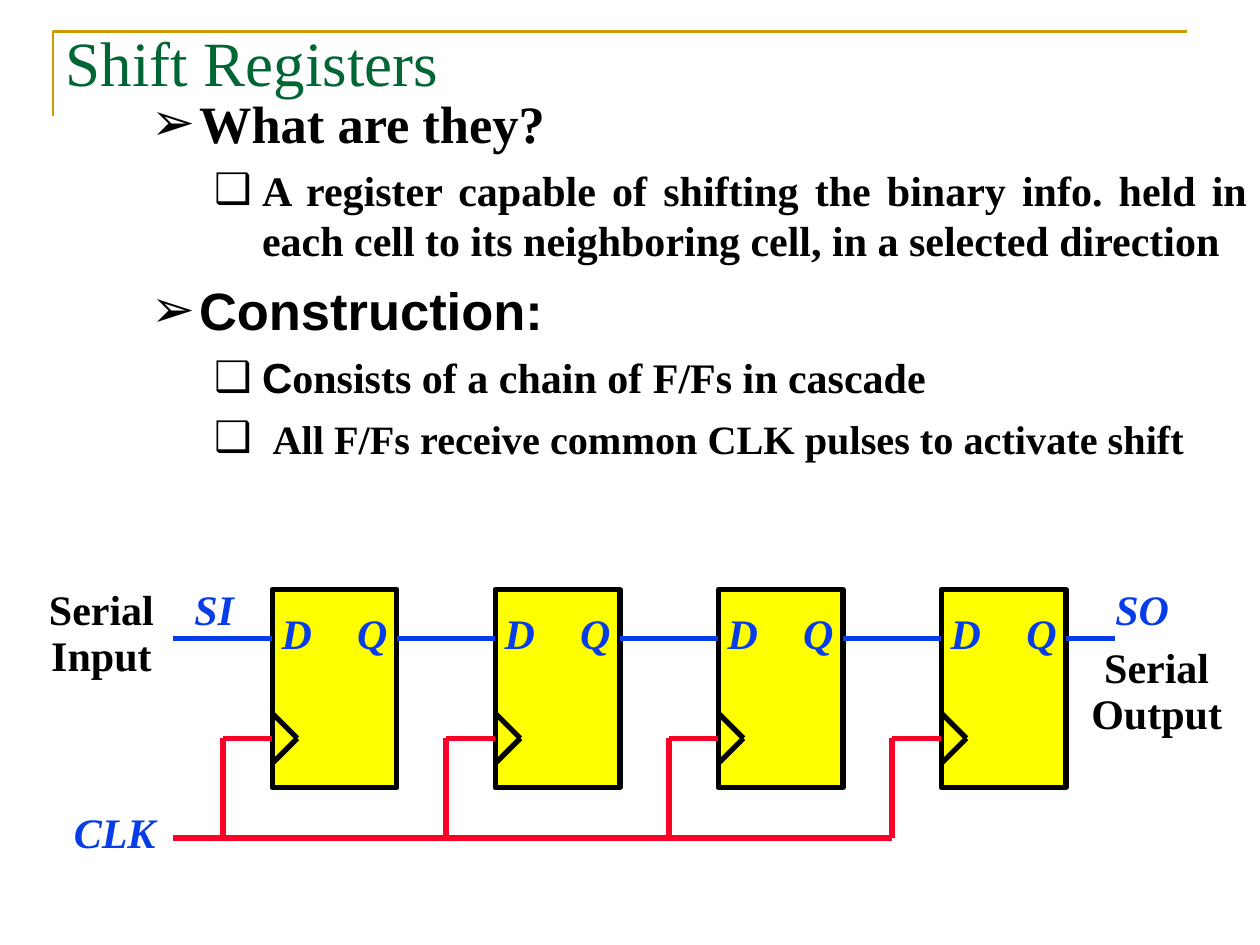
from lxml.etree import SubElement
from pptx import Presentation
from pptx.dml.color import RGBColor
from pptx.enum.shapes import MSO_CONNECTOR, MSO_SHAPE
from pptx.enum.text import MSO_ANCHOR, MSO_AUTO_SIZE, PP_ALIGN
from pptx.oxml.ns import qn
from pptx.util import Inches, Pt

COLORS = {"gold": "CC9900", "green": "006633", "black": "000000",
          "yellow": "FFFF00", "blue": "063DE8", "red": "FC0128"}
SERIF, SANS = "Times New Roman", "Arial"

# Circuit grid: four equal stages, each a cell with a stub on both sides
STAGES = 4
FIRST_LEFT = 2.16
CELL_WIDTH, CELL_HEIGHT, CELL_TOP = 0.99, 1.57, 4.68
STUB = 0.39
PITCH = CELL_WIDTH + 2 * STUB
NOTCH = 0.2
DATA_Y, CLOCK_Y, BUS_Y = 5.07, 5.86, 6.65
BUS_LEFT = 1.37


def color(name):
    return RGBColor.from_string(COLORS[name])


def add_span(para, text, size=24, font=SERIF, ink="black", bold=True, italic=False):
    span = para.add_run()
    span.text = text
    span.font.size = Pt(size)
    span.font.name = font
    span.font.bold = bold
    span.font.italic = italic
    span.font.color.rgb = color(ink)


def place(shape, left, top, width, height):
    shape.left, shape.top = Inches(left), Inches(top)
    shape.width, shape.height = Inches(width), Inches(height)


def add_label(page, lines, left, top, width, height=0.36, wrap=False, **style):
    box = page.shapes.add_textbox(Inches(left), Inches(top), Inches(width), Inches(height))
    frame = box.text_frame
    frame.margin_left = frame.margin_right = frame.margin_top = frame.margin_bottom = 0
    frame.word_wrap = wrap
    frame.auto_size = MSO_AUTO_SIZE.SHAPE_TO_FIT_TEXT
    para = frame.paragraphs[0]
    para.alignment = PP_ALIGN.CENTER
    para.line_spacing = 0.9
    for number, line in enumerate(lines):
        if number:
            para.add_line_break()
        add_span(para, line, **style)


def add_wire(page, start, end, ink):
    wire = page.shapes.add_connector(MSO_CONNECTOR.STRAIGHT, *map(Inches, start + end))
    wire.line.color.rgb = color(ink)
    wire.line.width = Pt(3)
    SubElement(wire._element.spPr, qn("a:effectLst"))


def add_bullet(para, symbol, indent):
    props = para._p.get_or_add_pPr()
    props.set("marL", str(Inches(indent)))
    props.set("indent", str(Inches(-0.38)))
    bullet_color = SubElement(props, qn("a:buClr"))
    SubElement(bullet_color, qn("a:srgbClr"), val=COLORS["black"])
    SubElement(props, qn("a:buFont"), typeface=SANS)
    SubElement(props, qn("a:buChar"), char=symbol)


def add_frame_line(page):
    builder = page.shapes.build_freeform(Inches(0.42), Inches(0.92))
    corner = [(Inches(0.42), Inches(0.25)), (Inches(9.42), Inches(0.25))]
    builder.add_line_segments(corner, close=False)
    outline = builder.convert_to_shape()
    outline.fill.background()
    outline.line.color.rgb = color("gold")
    outline.line.width = Pt(1.5)
    outline.shadow.inherit = False


def fill_title(page):
    title = page.shapes.title
    place(title, 0.42, 0.14, 6.58, 0.78)
    frame = title.text_frame
    frame.vertical_anchor = MSO_ANCHOR.TOP
    frame.auto_size = MSO_AUTO_SIZE.NONE
    para = frame.paragraphs[0]
    para.alignment = PP_ALIGN.LEFT
    add_span(para, "Shift Registers", size=36, ink="green", bold=False)


def fill_body(page):
    # Level, space before, then (text, size, font) spans
    items = [
        (0, 0, [("What are they?", 30, SERIF)]),
        (1, 6, [("A register capable of shifting the binary info. held in each cell "
                 "to its neighboring cell, in a selected direction", 24, SERIF)]),
        (0, 7.5, [("Construction:", 30, SANS)]),
        (1, 6, [("C", 24, SANS), ("onsists of a chain of F/Fs in cascade", 24, SERIF)]),
        (1, 5.8, [(" ", 24, SERIF),
                  ("All F/Fs receive common CLK pulses to activate shift", 23, SERIF)]),
    ]
    body = page.placeholders[1]
    place(body, 1.1, 0.67, 8.9, 6.67)
    frame = body.text_frame
    frame.auto_size = MSO_AUTO_SIZE.NONE
    for number, (level, space, spans) in enumerate(items):
        para = frame.add_paragraph() if number else frame.paragraphs[0]
        para.level = level
        para.alignment = PP_ALIGN.JUSTIFY
        para.space_before = Pt(space)
        add_bullet(para, "➢❑"[level], 0.38 + 0.5 * level)
        for text, size, font in spans:
            add_span(para, text, size=size, font=font)


def add_flip_flop(page, left):
    right = left + CELL_WIDTH
    tap = left - STUB
    cell = page.shapes.add_shape(MSO_SHAPE.RECTANGLE, Inches(left), Inches(CELL_TOP),
                                 Inches(CELL_WIDTH), Inches(CELL_HEIGHT))
    cell.shadow.inherit = False
    cell.fill.solid()
    cell.fill.fore_color.rgb = color("yellow")
    cell.line.color.rgb = color("black")
    cell.line.width = Pt(3)
    for name, label_left in (("D", left), ("Q", right - 0.39)):
        add_label(page, [name], label_left, 4.87, 0.39, wrap=True, ink="blue", italic=True)
    # Clock notch
    for edge in (CLOCK_Y - NOTCH, CLOCK_Y + NOTCH):
        add_wire(page, (left, edge), (left + NOTCH, CLOCK_Y), "black")
    # Data stubs and clock tap
    add_wire(page, (tap, DATA_Y), (left, DATA_Y), "blue")
    add_wire(page, (right, DATA_Y), (right + STUB, DATA_Y), "blue")
    add_wire(page, (tap, CLOCK_Y), (left, CLOCK_Y), "red")
    add_wire(page, (tap, CLOCK_Y), (tap, BUS_Y), "red")


def main():
    deck = Presentation()
    deck.slide_width, deck.slide_height = Inches(10), Inches(7.5)
    page = deck.slides.add_slide(deck.slide_layouts[1])

    # Heading and bullets
    add_frame_line(page)
    fill_title(page)
    fill_body(page)

    # Register chain
    lefts = [FIRST_LEFT + PITCH * stage for stage in range(STAGES)]
    for left in lefts:
        add_flip_flop(page, left)
    add_wire(page, (BUS_LEFT, BUS_Y), (lefts[-1] - STUB, BUS_Y), "red")
    add_wire(page, (BUS_LEFT, DATA_Y), (FIRST_LEFT - STUB, DATA_Y), "blue")

    # Signal names
    add_label(page, ["Serial", "Input"], 0.36, 4.68, 0.89, 0.72)
    add_label(page, ["Serial", "Output"], 8.64, 5.14, 1.08, 0.72)
    for name, left, top, width in (("CLK", 0.57, 6.45, 0.68), ("SI", 1.53, 4.68, 0.34),
                                   ("SO", 8.84, 4.68, 0.45)):
        add_label(page, [name], left, top, width, ink="blue", italic=True)

    deck.save("out.pptx")


if __name__ == "__main__":
    main()
